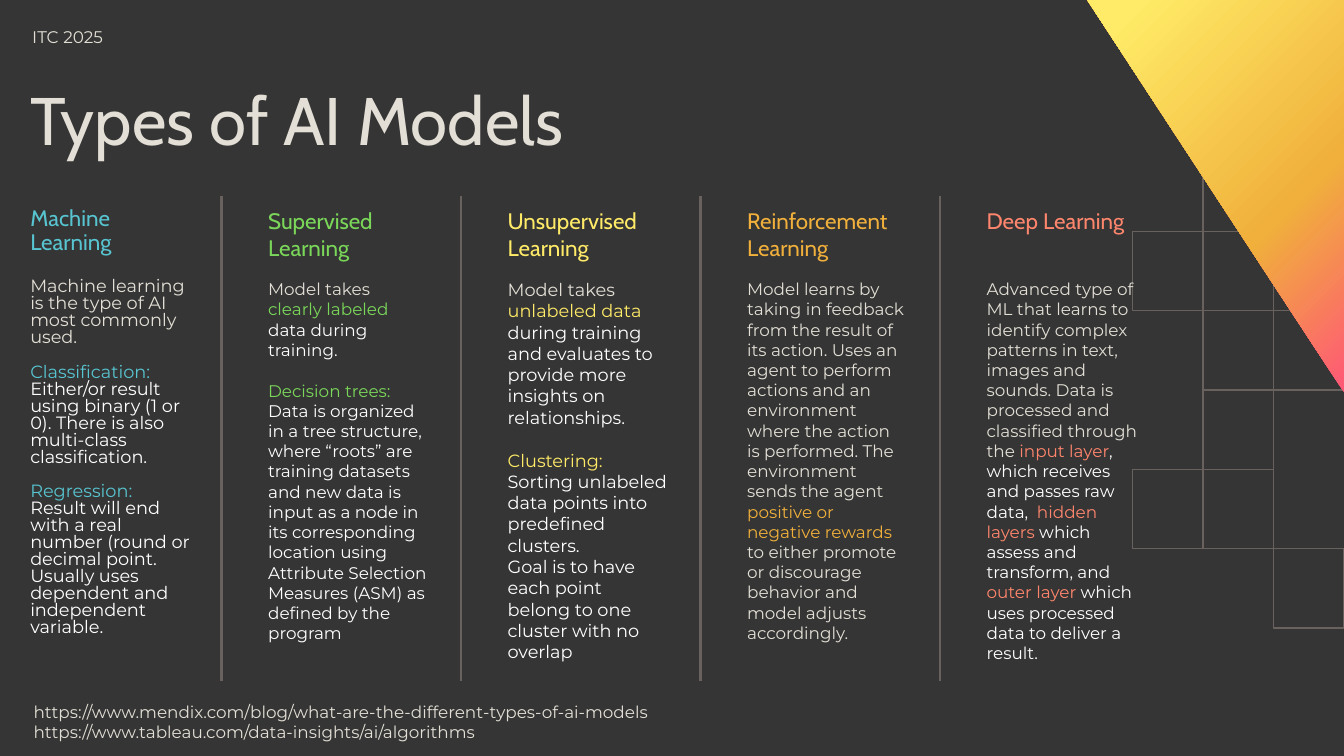
from copy import deepcopy
from pptx import Presentation
from pptx.dml.color import RGBColor as Rgb
from pptx.enum.shapes import MSO_CONNECTOR as Conn, MSO_SHAPE as Kind
from pptx.enum.text import MSO_ANCHOR as Anchor
from pptx.oxml.ns import qn
from pptx.util import Inches, Pt

WIDE = Inches(10)
HIGH = WIDE * 9 // 16
UNIT = WIDE / 100
HUES = {
    "back": "353535", "sand": "E3DFD6", "white": "FFFFFF", "line": "69615E",
    "blue": "57C4D0", "green": "7AD759", "lemon": "FFEB67",
    "gold": "F0B03B", "coral": "FF866D", "pink": "FF5777",
}
CELLS = [(1, 0), (2, 5), (2, 0), (0, 1), (1, 1), (2, 1),
         (0, 4), (1, 2), (2, 2), (1, 4), (1, 3)]
BLEND = [(0, "pink"), (0.37, "gold"), (0.92, "lemon")]
LINKS = ["https://www.mendix.com/blog/what-are-the-different-types-of-ai-models",
         "https://www.tableau.com/data-insights/ai/algorithms"]

MODELS = [
    (["Machine Learning"], "blue", 9.5, 0.8, 0.9, [
        [("Machine learning is the type of AI most commonly used.", "sand")],
        [("Classification:", "blue")],
        [("Either/or result using binary (1 or 0). There is also "
          "multi-class classification.", "white")],
        [("Regression:", "blue")],
        [("Result will end with a real number (round or decimal point. Usually "
          "uses dependent and independent variable.", "white")]]),
    (["Supervised Learning"], "green", 9, 1, 1, [
        [("Model takes ", "sand"), ("clearly labeled ", "green"),
         ("data during training.", "white")],
        [("Decision trees:", "green")],
        [("Data is organized in a tree structure, where “roots” are training "
          "datasets and new data is input as a node in its corresponding "
          "location using Attribute Selection Measures (ASM) as defined by "
          "the program", "white")]]),
    (["Unsupervised Learning"], "lemon", 9.5, 1, 1, [
        [("Model takes ", "sand"), ("unlabeled data", "lemon"),
         (" during training and evaluates to provide more insights on "
          "relationships.", "white")],
        [("Clustering:", "lemon")],
        [("Sorting unlabeled data points into predefined clusters.", "white")],
        [("Goal is to have each point belong to one cluster with no overlap",
          "white")]]),
    (["Reinforcement", "Learning"], "gold", 9, 1, 1, [
        [("Model learns by taking in feedback from the result of its action. "
          "Uses an agent to perform actions and an environment where the "
          "action is performed. The environment sends the agent ", "sand"),
         ("positive or negative rewards", "gold"),
         (" to either promote or discourage behavior and model adjusts "
          "accordingly.", "sand")]]),
    (["Deep Learning"], "coral", 9, 1, 1, [
        [("Advanced type of ML that learns to identify complex patterns in "
          "text, images and sounds. Data is processed and classified through "
          "the ", "sand"),
         ("input layer", "coral"),
         (", which receives and passes raw data, ", "white"),
         (" hidden layers", "coral"),
         (" which assess and transform, and ", "white"),
         ("outer layer", "coral"),
         (" which uses processed data to deliver a result.", "white")]]),
]


def hue(name):
    """Give the colour of that name."""
    return Rgb.from_string(HUES[name])


def grid(*spans):
    """Turn grid units into slide lengths."""
    return [round(span * UNIT) for span in spans]


def write(slide, box, paras, font, size, lead=1, pad=(1, 1, 1, 1)):
    """Set paragraphs of (text, colour) runs, with a gap above each subhead."""
    frame = slide.shapes.add_textbox(*grid(*box)).text_frame
    frame.word_wrap = True
    frame.vertical_anchor = Anchor.TOP
    (frame.margin_left, frame.margin_top,
     frame.margin_right, frame.margin_bottom) = grid(*pad)
    for n, runs in enumerate(paras):
        para = frame.add_paragraph() if n else frame.paragraphs[0]
        para.line_spacing = lead
        if n and runs[0][0].endswith(":"):
            para.space_before = Pt(round(size * 1.22 * lead, 1))
        for text, tone in runs:
            run = para.add_run()
            run.text = text
            run.font.name = font
            run.font.size = Pt(size)
            run.font.color.rgb = hue(tone)


def lattice(slide, left, top, wide, high):
    """Draw the outlined cells at the right edge."""
    for col, row in CELLS:
        cell = slide.shapes.add_shape(
            Kind.RECTANGLE, *grid(left + col * wide, top + row * high, wide, high))
        cell.shadow.inherit = False
        cell.fill.background()
        cell.line.color.rgb = hue("line")
        cell.line.width = Pt(0.75)


def corner(slide, left, top, wide, high):
    """Draw the gradient triangle in the top corner."""
    (x, y), (far, low) = grid(left, top), grid(left + wide, top + high)
    pen = slide.shapes.build_freeform(x, y)
    pen.add_line_segments([(far, y), (far, low)])
    shape = pen.convert_to_shape()
    shape.shadow.inherit = False
    shape.line.fill.background()
    shape.fill.gradient()
    stops = shape._element.spPr.find(".//" + qn("a:gsLst"))
    stops.append(deepcopy(stops[-1]))
    for stop, (place, tone) in zip(shape.fill.gradient_stops, BLEND):
        stop.position = place
        stop.color.rgb = hue(tone)
    shape.fill.gradient_angle = 135


def rule(slide, left, top, high):
    """Draw an upright divider."""
    x, y, low = grid(left, top, top + high)
    line = slide.shapes.add_connector(Conn.STRAIGHT, x, y, x, low)
    line.line.color.rgb = hue("line")
    line.line.width = Pt(1.5)
    props = line._element.spPr
    props.append(props.makeelement(qn("a:effectLst"), {}))


def column(slide, left, top, wide, high, model):
    """Place the heading and the text of one model."""
    head, tone, size, lead, tight, paras = model
    write(slide, (left, top + 0.85, wide, 5), [[(text, tone)] for text in head],
          "Cabin", 12, tight, (1, 0, 1, 1))
    write(slide, (left, top + 5.2, wide, high - 5.2), paras,
          "Montserrat", size, lead, (1, 1, 0, 1))


def models(slide, left, top, pitch, high):
    """Place the five columns and the dividers between them."""
    for n, model in enumerate(MODELS):
        x = left + n * pitch
        column(slide, max(x, 1.27), top, 12.86, high, model)
        if n < len(MODELS) - 1:
            rule(slide, x + 15.33, top, high)


def main():
    """Build the slide and save it."""
    deck = Presentation()
    deck.slide_width, deck.slide_height = WIDE, HIGH
    slide = deck.slides.add_slide(deck.slide_layouts[6])
    slide.background.fill.solid()
    slide.background.fill.fore_color.rgb = hue("back")
    lattice(slide, 84.25, 11.32, 5.25, 5.9)
    corner(slide, 80.9, 0, 19.1, 29.2)
    write(slide, (0.4, 1.2, 17.3, 2.1), [[("ITC 2025", "sand")]],
          "Montserrat", 9, 1, (2, 1, 1, 1))
    write(slide, (1.3, 5.5, 66.2, 7.5), [[("Types of AI Models", "sand")]],
          "Cabin", 36, 0.9)
    models(slide, 1.15, 14.55, 17.82, 36.1)
    write(slide, (2.5, 52.2, 55.2, 2.1), [[(link, "sand")] for link in LINKS],
          "Montserrat", 9, 1, (0, 0, 0, 0))
    deck.save("out.pptx")


if __name__ == "__main__":
    main()
